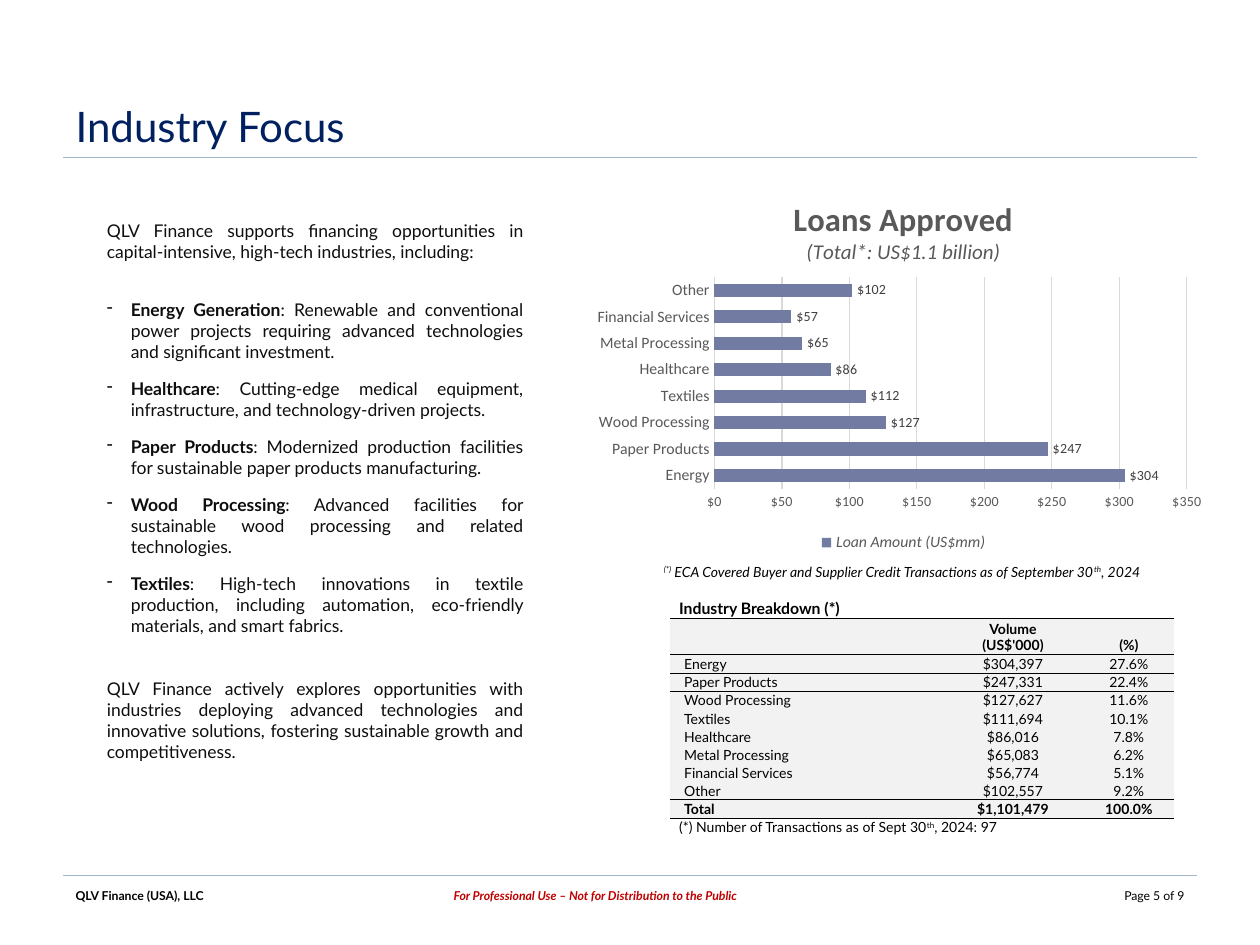
from dataclasses import dataclass
from typing import Any

from lxml.etree import SubElement
from pptx import Presentation
from pptx.chart.data import CategoryChartData
from pptx.dml.color import RGBColor
from pptx.enum.chart import XL_CHART_TYPE as ChartType
from pptx.enum.chart import XL_LABEL_POSITION as LabelPos
from pptx.enum.chart import XL_LEGEND_POSITION as LegendPos
from pptx.enum.chart import XL_TICK_MARK as Tick
from pptx.enum.shapes import MSO_CONNECTOR as Connector
from pptx.enum.text import MSO_ANCHOR as Anchor
from pptx.enum.text import PP_ALIGN as Align
from pptx.oxml.ns import qn
from pptx.util import Emu, Pt

SCALE = 9144  # 100 px to the inch
COLORS = {"title": "002060", "body": "0E0E0E", "black": "000000", "red": "C00000",
          "rule": "9FB8CD", "shade": "F2F2F2", "bar": "727CA3", "grid": "D9D9D9",
          "axis": "595959", "label": "404040"}
NO_TABLE_STYLE = "{2D5ABB26-0587-4C30-8999-92F81FD0307C}"
DOLLARS = '"$"#,##0'


def px(*lengths):
    return [Emu(n * SCALE) for n in lengths]


def rgb(name):
    return RGBColor.from_string(COLORS[name])


@dataclass
class SlideBuilder:
    slide: Any
    font: str = "Lato"
    chart_font: str = "Calibri"

    def style(self, font, size, color, flags="", face=None):
        font.name, font.size = face or self.font, Pt(size)
        font.bold, font.italic = "b" in flags, "i" in flags
        font.color.rgb = rgb(color)

    def fill_paragraph(self, paragraph, parts, size, color="black", align=Align.LEFT):
        """Parts are (text, flags): b bold, i italic, ^ superscript."""
        paragraph.alignment = align
        for text, flags in parts:
            run = paragraph.add_run()
            run.text = text
            self.style(run.font, size, color, flags)
            if "^" in flags:
                run.font._element.set("baseline", "30000")

    def title(self, text, box):
        holder = self.slide.shapes.title
        holder.left, holder.top, holder.width, holder.height = px(*box)
        frame = holder.text_frame
        frame.vertical_anchor = Anchor.BOTTOM
        self.fill_paragraph(frame.paragraphs[0], [(text, "")], 24, "title")

    def rule(self, left, right, y):
        line = self.slide.shapes.add_connector(Connector.STRAIGHT, *px(left, y, right, y))
        line.line.color.rgb, line.line.width = rgb("rule"), Pt(0.75)
        SubElement(line._element.spPr, qn("a:effectLst"))

    def text(self, box):
        frame = self.slide.shapes.add_textbox(*px(*box)).text_frame
        frame.word_wrap = True
        return frame

    def body(self, box, rows):
        """Rows are (parts, space before, bulleted)."""
        frame = self.text(box)
        for i, (parts, before, bulleted) in enumerate(rows):
            para = frame.add_paragraph() if i else frame.paragraphs[0]
            if bulleted:
                props = para._p.get_or_add_pPr()
                props.set("marL", str(19 * SCALE))
                props.set("indent", str(-19 * SCALE))
                SubElement(props, qn("a:buChar")).set("char", "-")
            if before:
                para.space_before = Pt(before)
            self.fill_paragraph(para, parts, 10, "body", Align.JUSTIFY)

    def table(self, left, top, widths, heights):
        frame = self.slide.shapes.add_table(len(heights), len(widths),
                                            *px(left, top, sum(widths), sum(heights)))
        table = frame.table
        table.first_row = table.horz_banding = False
        table._tbl.tblPr.find(qn("a:tableStyleId")).text = NO_TABLE_STYLE
        for column, width in zip(table.columns, widths):
            column.width = px(width)[0]
        for row, height in zip(table.rows, heights):
            row.height = px(height)[0]
        return table

    def cell(self, cell, lines, size, color="black", align=Align.LEFT, fill=None,
             margins=None, anchor=Anchor.TOP, borders=()):
        """Lines are lists of parts; borders are the tags of the ruled sides."""
        for tag in borders:
            line = SubElement(cell._tc.get_or_add_tcPr(), qn(tag))
            line.set("w", str(Pt(0.25)))
            SubElement(SubElement(line, qn("a:solidFill")), qn("a:srgbClr")).set("val", COLORS["black"])
        if fill:
            cell.fill.solid()
            cell.fill.fore_color.rgb = rgb(fill)
        else:
            cell.fill.background()
        if margins:
            cell.margin_left, cell.margin_top, cell.margin_right, cell.margin_bottom = px(*margins)
        cell.vertical_anchor = anchor
        frame = cell.text_frame
        for i, parts in enumerate(lines):
            para = frame.add_paragraph() if i else frame.paragraphs[0]
            self.fill_paragraph(para, parts, size, color, align)
        if not lines:
            frame.paragraphs[0]._p.get_or_add_endParaRPr().set("sz", str(size * 100))

    def bar_chart(self, box, heading, series_name, values):
        data = CategoryChartData(number_format=DOLLARS)
        data.categories = list(values)
        data.add_series(series_name, list(values.values()))
        chart = self.slide.shapes.add_chart(ChartType.BAR_CLUSTERED, *px(*box), data).chart
        face = self.chart_font
        self.style(chart.font, 10, "black", face=face)

        frame = chart.chart_title.text_frame
        for i, (text, size, flags) in enumerate(heading):
            para = frame.add_paragraph() if i else frame.paragraphs[0]
            para.text = text
            self.style(para.runs[0].font, size, "axis", flags, face)
        chart.chart_title.include_in_layout = False

        chart.has_legend = True
        chart.legend.position, chart.legend.include_in_layout = LegendPos.BOTTOM, False
        self.style(chart.legend.font, 9, "axis", "i", face)

        names, amounts = chart.category_axis, chart.value_axis
        for axis, size in ((names, 9), (amounts, 8)):
            axis.major_tick_mark = axis.minor_tick_mark = Tick.NONE
            self.style(axis.tick_labels.font, size, "axis", face=face)
        amounts.minimum_scale, amounts.maximum_scale, amounts.major_unit = 0, 350, 50
        amounts.tick_labels.number_format = DOLLARS
        amounts.tick_labels.number_format_is_linked = False
        amounts.format.line.fill.background()
        for line in (names.format.line, amounts.major_gridlines.format.line):
            line.color.rgb, line.width = rgb("grid"), Pt(0.75)

        plot = chart.plots[0]
        plot.gap_width, plot.vary_by_categories = 100, False
        fill = plot.series[0].format.fill
        fill.solid()
        fill.fore_color.rgb = rgb("bar")
        plot.has_data_labels = True
        labels = plot.data_labels
        labels.show_value, labels.position = True, LabelPos.OUTSIDE_END
        labels.number_format, labels.number_format_is_linked = DOLLARS, False
        self.style(labels.font, 8, "label", face=face)

        # Fixed inner plot area
        area = chart._chartSpace.chart.plotArea
        for old in area.findall(qn("c:layout")):
            area.remove(old)
        layout = SubElement(area, qn("c:layout"))
        area.insert(0, layout)
        manual = SubElement(layout, qn("c:manualLayout"))
        for tag, value in (("layoutTarget", "inner"), ("xMode", "edge"), ("yMode", "edge"),
                           ("x", 0.2), ("y", 0.26), ("w", 0.75), ("h", 0.56)):
            SubElement(manual, qn(f"c:{tag}")).set("val", str(value))


def main():
    deck = Presentation()
    deck.slide_width, deck.slide_height = px(1000, 750)
    page = SlideBuilder(deck.slides.add_slide(deck.slide_layouts[5]))

    # Title and rules
    page.title("Industry Focus", (50, 25, 500, 100))
    for y in (125, 695):
        page.rule(50, 950, y)

    # Industries text
    industries = {
        "Energy Generation": "Renewable and conventional power projects requiring advanced technologies and significant investment.",
        "Healthcare": "Cutting-edge medical equipment, infrastructure, and technology-driven projects.",
        "Paper Products": "Modernized production facilities for sustainable paper products manufacturing.",
        "Wood Processing": "Advanced facilities for sustainable wood processing and related technologies.",
        "Textiles": "High-tech innovations in textile production, including automation, eco-friendly materials, and smart fabrics.",
    }
    intro = "QLV Finance supports financing opportunities in capital-intensive, high-tech industries, including:"
    closing = ("QLV Finance actively explores opportunities with industries deploying advanced technologies "
               "and innovative solutions, fostering sustainable growth and competitiveness.")
    bullets = [([(name, "b"), (f": {detail}", "")], 9 if i else 21, True)
               for i, (name, detail) in enumerate(industries.items())]
    page.body((75, 170, 350, 443), [([(intro, "")], 0, False), *bullets, ([(closing, "")], 24, False)])

    # Loans chart and its footnote
    page.bar_chart((467, 142, 500, 300),
                   [("Loans Approved", 18.6, "b"), ("(Total*: US$1.1 billion)", 12, "i")],
                   "Loan Amount (US$mm)",
                   {"Energy": 304, "Paper Products": 247, "Wood Processing": 127, "Textiles": 112,
                    "Healthcare": 86, "Metal Processing": 65, "Financial Services": 57, "Other": 102})
    page.fill_paragraph(page.text((517, 442, 430, 24)).paragraphs[0],
                        [("(*)", "i^"),
                         (" ECA Covered Buyer and Supplier Credit Transactions as of September 30", "i"),
                         ("th", "i^"), (", 2024", "i")], 8)

    # Industry breakdown table
    breakdown = [("Energy", "$304,397", "27.6%"), ("Paper Products", "$247,331", "22.4%"),
                 ("Wood Processing", "$127,627", "11.6%"), ("Textiles", "$111,694", "10.1%"),
                 ("Healthcare", "$86,016", "7.8%"), ("Metal Processing", "$65,083", "6.2%"),
                 ("Financial Services", "$56,774", "5.1%"), ("Other", "$102,557", "9.2%"),
                 ("Total", "$1,101,479", "100.0%")]
    table = page.table(532, 475, (216, 112, 72), [16, 28, 15] + [14] * 7 + [15, 15])
    wide = (7, 0, 7, 0)
    last = len(breakdown) + 2
    note = [("(*) Number of Transactions as of Sept 30", ""), ("th", "^"), (", 2024: 97", "")]
    for row, parts, size, side in ((0, [("Industry Breakdown (*)", "b")], 9, "a:lnB"),
                                   (last, note, 8, "a:lnT")):
        table.cell(row, 0).merge(table.cell(row, 2))
        for col in range(3):
            page.cell(table.cell(row, col), [] if col else [parts], size, margins=wide,
                      anchor=Anchor.MIDDLE, borders=[side])
    for col, lines in enumerate(([], ["Volume", "(US$'000)"], ["(%)"])):
        page.cell(table.cell(1, col), [[(line, "b")] for line in lines], 8, align=Align.CENTER,
                  fill="shade", margins=wide, anchor=Anchor.BOTTOM, borders=("a:lnT", "a:lnB"))
    ruled = {"Energy": ("a:lnT", "a:lnB"), "Paper Products": ("a:lnT",),
             "Other": ("a:lnB",), "Total": ("a:lnT", "a:lnB")}
    for row, record in enumerate(breakdown, 2):
        for col, value in enumerate(record):
            page.cell(table.cell(row, col), [[(value, "b" if record[0] == "Total" else "")]], 8,
                      align=Align.CENTER if col else Align.LEFT, fill="shade",
                      margins=(1 if col else 11, 1, 1, 0), anchor=Anchor.MIDDLE,
                      borders=ruled.get(record[0], ()))

    # Footer
    footer = page.table(50, 700, (300, 300, 300), (20,))
    for col, (text, flags, color, align) in enumerate((
            ("QLV Finance (USA), LLC", "b", "black", Align.LEFT),
            ("For Professional Use – Not for Distribution to the Public", "bi", "red", Align.LEFT),
            ("Page 5 of 9", "", "black", Align.RIGHT))):
        page.cell(footer.cell(0, col), [[(text, flags)]], 7, color, align)

    deck.save("out.pptx")


if __name__ == "__main__":
    main()
